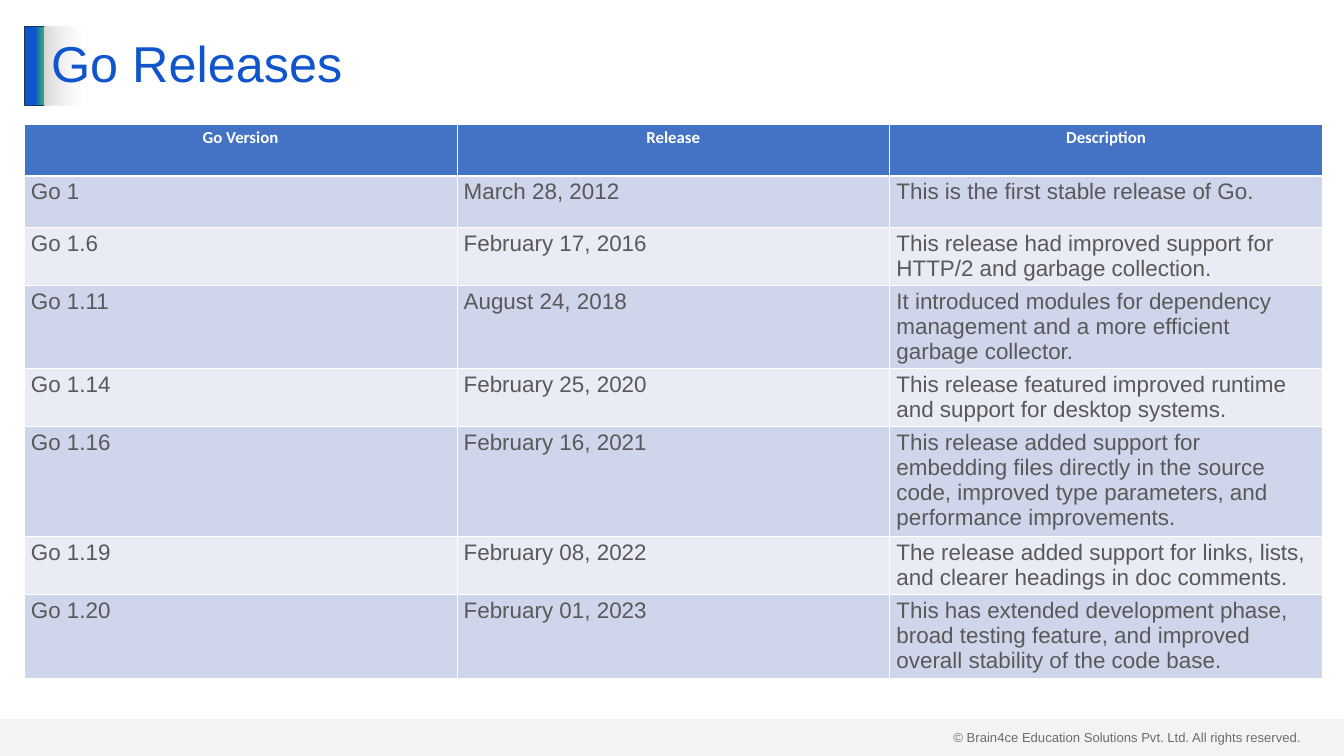
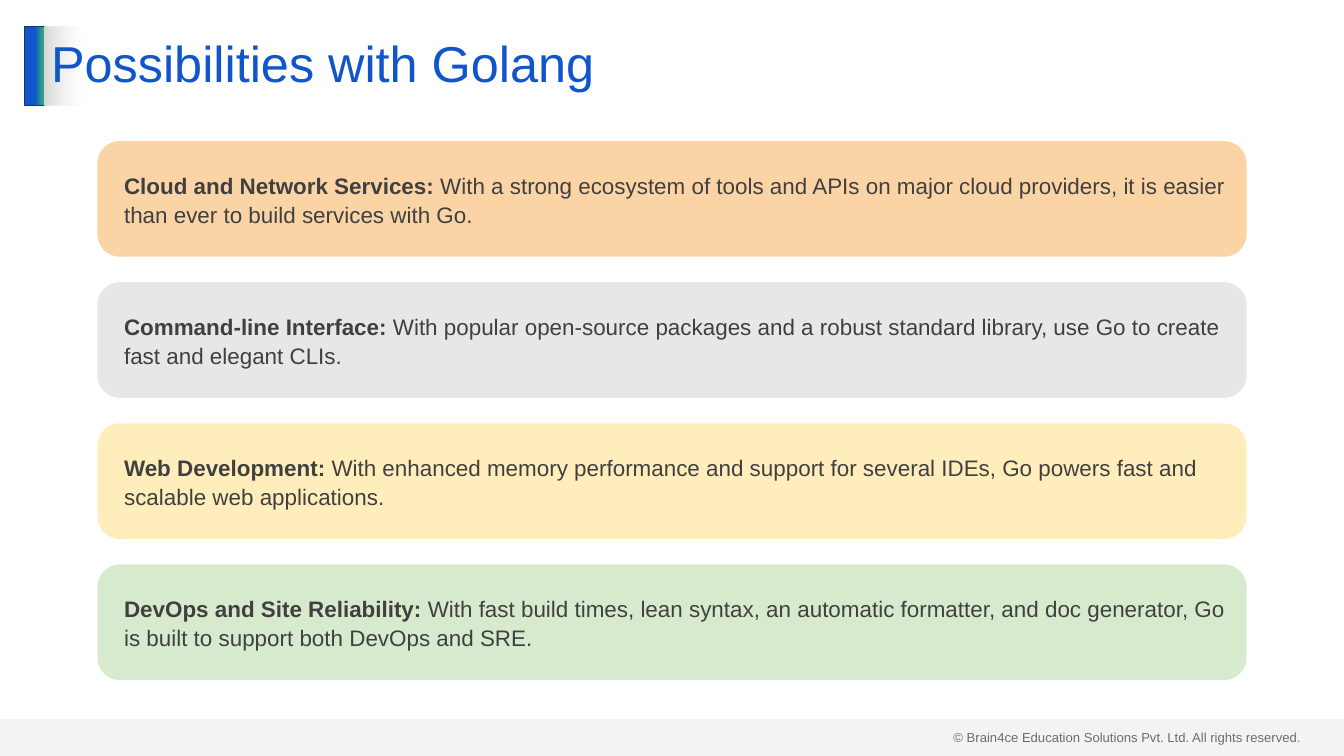
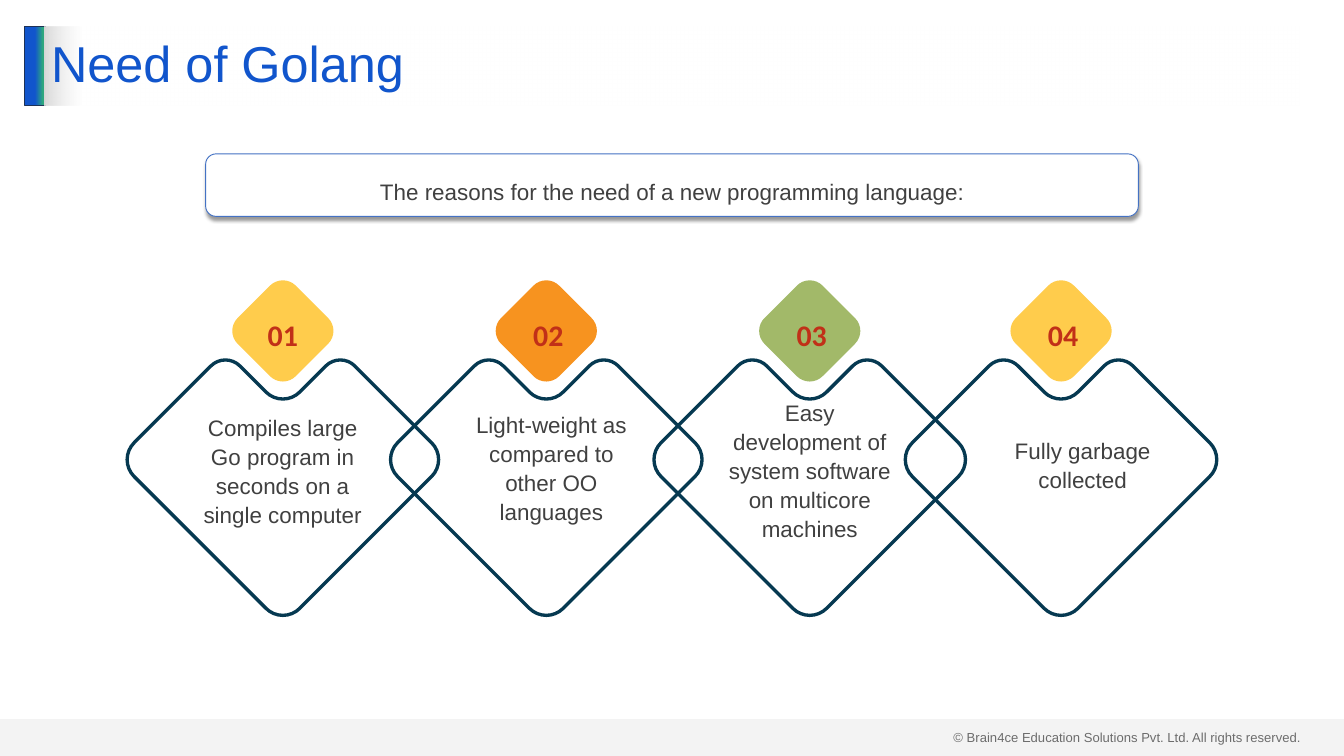
from dataclasses import dataclass
from math import cos, hypot, pi, sin

from pptx import Presentation
from pptx.dml.color import RGBColor
from pptx.enum.shapes import MSO_SHAPE
from pptx.enum.text import MSO_ANCHOR, MSO_AUTO_SIZE, PP_ALIGN
from pptx.oxml import parse_xml
from pptx.oxml.ns import nsdecls, qn
from pptx.util import Inches, Pt


@dataclass(frozen=True)
class Theme:
    blue: str = "1155CC"
    green: str = "2EA87D"
    navy: str = "1E3256"
    gray: str = "D9D9D9"
    white: str = "FFFFFF"
    ink: str = "404040"
    cell_ink: str = "595959"
    accent: str = "4472C4"
    bands: tuple = ("CFD5EA", "E9EBF5")
    frame: str = "063951"
    number: str = "C13018"
    font: str = "Arial"
    alt_font: str = "Calibri"
    title_size: int = 54
    number_size: int = 32
    body_size: int = 24
    head_size: int = 18
    foot_size: int = 14
    leading: float = 1.08


T = Theme()
W, H = 20, 11.25

# Content
FOOTER = "© Brain4ce Education Solutions Pvt. Ltd. All rights reserved."

RELEASE_HEAD = ("Go Version", "Release", "Description")
RELEASES = [  # row height, cells
    (0.77, "Go 1", "March 28, 2012", "This is the first stable release of Go."),
    (0.86, "Go 1.6", "February 17, 2016",
     "This release had improved support for HTTP/2 and garbage collection."),
    (1.24, "Go 1.11", "August 24, 2018",
     "It introduced modules for dependency management and a more efficient garbage collector."),
    (0.86, "Go 1.14", "February 25, 2020",
     "This release featured improved runtime and support for desktop systems."),
    (1.64, "Go 1.16", "February 16, 2021",
     "This release added support for embedding files directly in the source code, "
     "improved type parameters, and performance improvements."),
    (0.86, "Go 1.19", "February 08, 2022",
     "The release added support for links, lists, and clearer headings in doc comments."),
    (1.24, "Go 1.20", "February 01, 2023",
     "This has extended development phase, broad testing feature, and improved "
     "overall stability of the code base."),
]

POSSIBILITIES = [  # fill, heading, text
    ("FABE79", "Cloud and Network Services: ",
     "With a strong ecosystem of tools and APIs on major cloud providers, it is easier "
     "than ever to build services with Go."),
    ("DBDBDB", "Command-line Interface: ",
     "With popular open-source packages and a robust standard library, use Go to create "
     "fast and elegant CLIs."),
    ("FFE699", "Web Development: ",
     "With enhanced memory performance and support for several IDEs, Go powers fast and "
     "scalable web applications."),
    ("C5E0B4", "DevOps and Site Reliability: ",
     "With fast build times, lean syntax, an automatic formatter, and doc generator, Go "
     "is built to support both DevOps and SRE."),
]

NEED_INTRO = "The reasons for the need of a new programming language:"
NEEDS = [  # centre x, badge fill, number box left, text, text box
    (4.21, "FFCC4C", 3.88, "Compiles large Go program in seconds on a single computer",
     (3.02, 6.19, 2.37, 1.72)),
    (8.13, "F7931F", 7.83, "Light-weight as compared to other OO languages",
     (7.02, 6.14, 2.37, 1.72)),
    (12.05, "A2B969", 11.75, "Easy development of system software on multicore machines",
     (10.83, 5.99, 2.44, 2.12)),
    (15.79, "FFCC4C", 15.49, "Fully garbage collected", (14.72, 6.48, 2.78, 0.91)),
]


# Text and fill helpers
def rgb(value):
    return RGBColor.from_string(value)


def write(tf, *texts, size=T.body_size, color=T.ink, font=T.font, bold=(False,),
          align=PP_ALIGN.LEFT, spacing=None, anchor=None, wrap=True, indent=0):
    """Write one paragraph; each text is a run, paired with its bold flag."""
    tf.word_wrap = wrap
    if anchor is not None:
        tf.vertical_anchor = anchor
    p = tf.paragraphs[0]
    p.alignment = align
    if spacing:
        p.line_spacing = spacing
    if indent:
        pPr = p._p.get_or_add_pPr()
        pPr.set("marL", str(Inches(indent)))
        pPr.set("indent", "0")
    for text, strong in zip(texts, bold):
        r = p.add_run()
        r.text = text
        r.font.size, r.font.name, r.font.bold = Pt(size), font, strong
        r.font.color.rgb = rgb(color)


def paint(sp, fill, alpha=None, line=None):
    sp.shadow.inherit = False
    sp.fill.solid()
    sp.fill.fore_color.rgb = rgb(fill)
    if alpha:
        clr = sp._element.spPr.find(qn("a:solidFill"))[0]
        clr.append(parse_xml(f'<a:alpha {nsdecls("a")} val="{alpha * 1000}"/>'))
    outline(sp, line)


def outline(sp, color):
    if color:
        sp.line.color.rgb = rgb(color)
        sp.line.width = Pt(1)
    else:
        sp.line.fill.background()


def gradient(sp, *stops):
    """Fill left to right with (percent, colour, opacity) stops."""
    sp.fill.gradient()
    sp.fill.gradient_angle = 0
    gs_list = sp._element.spPr.find(qn("a:gradFill")).find(qn("a:gsLst"))
    for gs in list(gs_list):
        gs_list.remove(gs)
    for pos, color, opacity in stops:
        gs_list.append(parse_xml(
            f'<a:gs {nsdecls("a")} pos="{pos * 1000}"><a:srgbClr val="{color}">'
            f'<a:alpha val="{opacity * 1000}"/></a:srgbClr></a:gs>'))


def add_box(slide, kind, *at):
    return slide.shapes.add_shape(kind, *map(Inches, at))


def add_text(slide, at, *texts, **fmt):
    tf = slide.shapes.add_textbox(*map(Inches, at)).text_frame
    write(tf, *texts, **fmt)
    return tf


# Shared frame
def add_frame(slide, layout):
    """Draw footer and title bar, then hand them to the layout."""
    start = len(slide.shapes)
    add_text(slide, (14.09, 10.8, 5.41, 0.34), FOOTER, size=T.foot_size)
    bar = add_box(slide, MSO_SHAPE.RECTANGLE, 0.37, 0.39, 0.3, 1.18)
    bar.shadow.inherit = False
    gradient(bar, (51, T.blue, 100), (90, T.green, 100), (100, T.green, 100))
    outline(bar, T.navy)
    band = add_box(slide, MSO_SHAPE.RECTANGLE, 0, H - 0.55, W, 0.55)
    paint(band, T.gray, alpha=29)
    for sp in list(slide.shapes)[start:]:
        layout.shapes.element.append(sp._element)


def add_slide(prs, layout, title):
    slide = prs.slides.add_slide(layout)
    sp = slide.shapes.title
    sp.left, sp.top, sp.width, sp.height = map(Inches, (0.66, 0.39, 18.67, 1.18))
    gradient(sp, (0, T.gray, 100), (3, T.white, 50))
    write(sp.text_frame, title, size=T.title_size, color=T.blue, spacing=0.9,
          anchor=MSO_ANCHOR.MIDDLE)
    sp.text_frame.auto_size = MSO_AUTO_SIZE.NONE
    return slide


# Release table
def set_borders(cell, bottom):
    tcPr = cell._tc.get_or_add_tcPr()
    for side, width in (("L", 1), ("R", 1), ("T", 1), ("B", bottom)):
        tcPr.append(parse_xml(
            f'<a:ln{side} {nsdecls("a")} w="{Pt(width)}"><a:solidFill>'
            f'<a:srgbClr val="{T.white}"/></a:solidFill></a:ln{side}>'))


def add_releases(slide):
    rows = [(0.77, *RELEASE_HEAD), *RELEASES]
    total = sum(row[0] for row in rows)
    table = slide.shapes.add_table(len(rows), 3, *map(Inches, (0.36, 1.85, 19.32, total))).table
    head = dict(size=T.head_size, font=T.alt_font, color=T.white, bold=(True,),
                align=PP_ALIGN.CENTER)
    for i, (height, *texts) in enumerate(rows):
        table.rows[i].height = Inches(height)
        for j, text in enumerate(texts):
            cell = table.cell(i, j)
            set_borders(cell, 1 if i else 3)
            cell.fill.solid()
            cell.fill.fore_color.rgb = rgb(T.bands[(i - 1) % 2] if i else T.accent)
            write(cell.text_frame, text, **(dict(color=T.cell_ink) if i else head))


# Possibility cards
def add_possibilities(slide):
    left, top, height, pitch = 1.45, 2.1, 1.72, 2.1
    for i, (fill, heading, text) in enumerate(POSSIBILITIES):
        card = add_box(slide, MSO_SHAPE.ROUNDED_RECTANGLE,
                       left, top + i * pitch, W - 2 * left, height)
        card.adjustments[0] = 0.195
        paint(card, fill, alpha=66)
        write(card.text_frame, heading, text, bold=(True, False), indent=0.2,
              spacing=T.leading, anchor=MSO_ANCHOR.MIDDLE)


# Numbered diamonds
def round_corners(corners, steps=8):
    """Outline through right-angled (x, y, radius) corners, each cut to an arc."""
    points = []
    for i, (x, y, radius) in enumerate(corners):
        ends = []
        for nx, ny, _ in (corners[i - 1], corners[(i + 1) % len(corners)]):
            length = hypot(nx - x, ny - y)
            ends.append(((nx - x) / length, (ny - y) / length))
        (ux, uy), (vx, vy) = ends
        for k in range(steps + 1):
            a = 1 - sin(k * pi / 2 / steps)
            b = 1 - cos(k * pi / 2 / steps)
            points.append((x + radius * (ux * a + vx * b), y + radius * (uy * a + vy * b)))
    return points


def diamond(cx, cy, half, radius):
    return round_corners([(cx, cy - half, radius), (cx + half, cy, radius),
                          (cx, cy + half, radius), (cx - half, cy, radius)])


def notched_diamond(cx, cy, inset=0):
    """Diamond with its top corner folded in; inset is the distance inwards."""
    half, shoulder = 2.5 - inset * 2 ** 0.5, 0.855
    big, small, notch = 0.38 - inset, 0.33 - inset, 0.33 + inset
    peak = cy - half + shoulder
    return round_corners([
        (cx, peak + shoulder, notch), (cx + shoulder, peak, small), (cx + half, cy, big),
        (cx, cy + half, big), (cx - half, cy, big), (cx - shoulder, peak, small)])


def add_outline(slide, fill, *contours):
    builder = None
    for contour in contours:
        first, *rest = [(Inches(x), Inches(y)) for x, y in contour]
        if builder is None:
            builder = slide.shapes.build_freeform(*first, scale=1.0)
        else:
            builder.move_to(*first)
        builder.add_line_segments(rest, close=True)
    paint(builder.convert_to_shape(), fill)


def add_intro(slide):
    sp = add_box(slide, MSO_SHAPE.ROUNDED_RECTANGLE, 3.06, 2.29, 13.88, 0.93)
    paint(sp, T.white, line=T.accent)
    sp._element.spPr.find(qn("a:effectLst")).append(parse_xml(
        f'<a:outerShdw {nsdecls("a")} blurRad="{Pt(4)}" dist="{Pt(3)}" dir="5400000" '
        'rotWithShape="0"><a:srgbClr val="000000"><a:alpha val="40000"/></a:srgbClr>'
        '</a:outerShdw>'))
    tf = sp.text_frame
    tf.margin_left = tf.margin_right = Inches(0.2)
    tf.margin_top = tf.margin_bottom = Inches(0.1)
    write(tf, NEED_INTRO, align=PP_ALIGN.CENTER, spacing=1.5, anchor=MSO_ANCHOR.MIDDLE)


def add_needs(slide):
    frame_y, badge_y = 6.84, 4.925
    for i, (cx, fill, number_left, text, at) in enumerate(NEEDS, 1):
        add_outline(slide, T.frame, notched_diamond(cx, frame_y),
                    notched_diamond(cx, frame_y, inset=0.05))
        add_outline(slide, fill, diamond(cx, badge_y, 0.865, 0.27))
        tf = add_text(slide, at, text, align=PP_ALIGN.CENTER, spacing=T.leading,
                      anchor=MSO_ANCHOR.BOTTOM)
        tf.margin_left = tf.margin_right = 0
        add_text(slide, (number_left, 4.66, 0.66, 0.64), f"{i:02}", size=T.number_size,
                 font=T.alt_font, color=T.number, bold=(True,), align=PP_ALIGN.CENTER,
                 wrap=False)


def main():
    prs = Presentation()
    prs.slide_width, prs.slide_height = Inches(W), Inches(H)
    layout = prs.slide_layouts[5]

    slide = add_slide(prs, layout, "Go Releases")
    add_frame(slide, layout)
    add_releases(slide)

    slide = add_slide(prs, layout, "Possibilities with Golang")
    add_possibilities(slide)

    slide = add_slide(prs, layout, "Need of Golang")
    add_intro(slide)
    add_needs(slide)

    prs.save("out.pptx")


if __name__ == "__main__":
    main()
